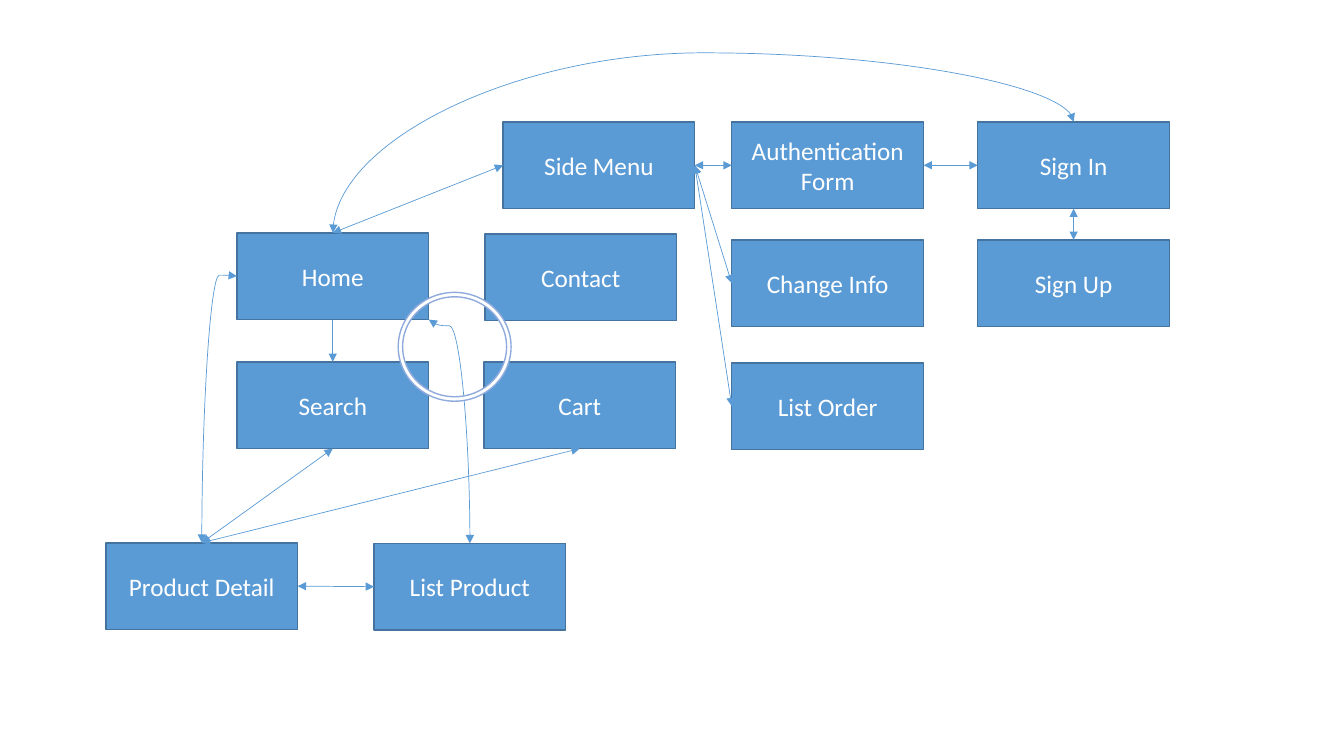
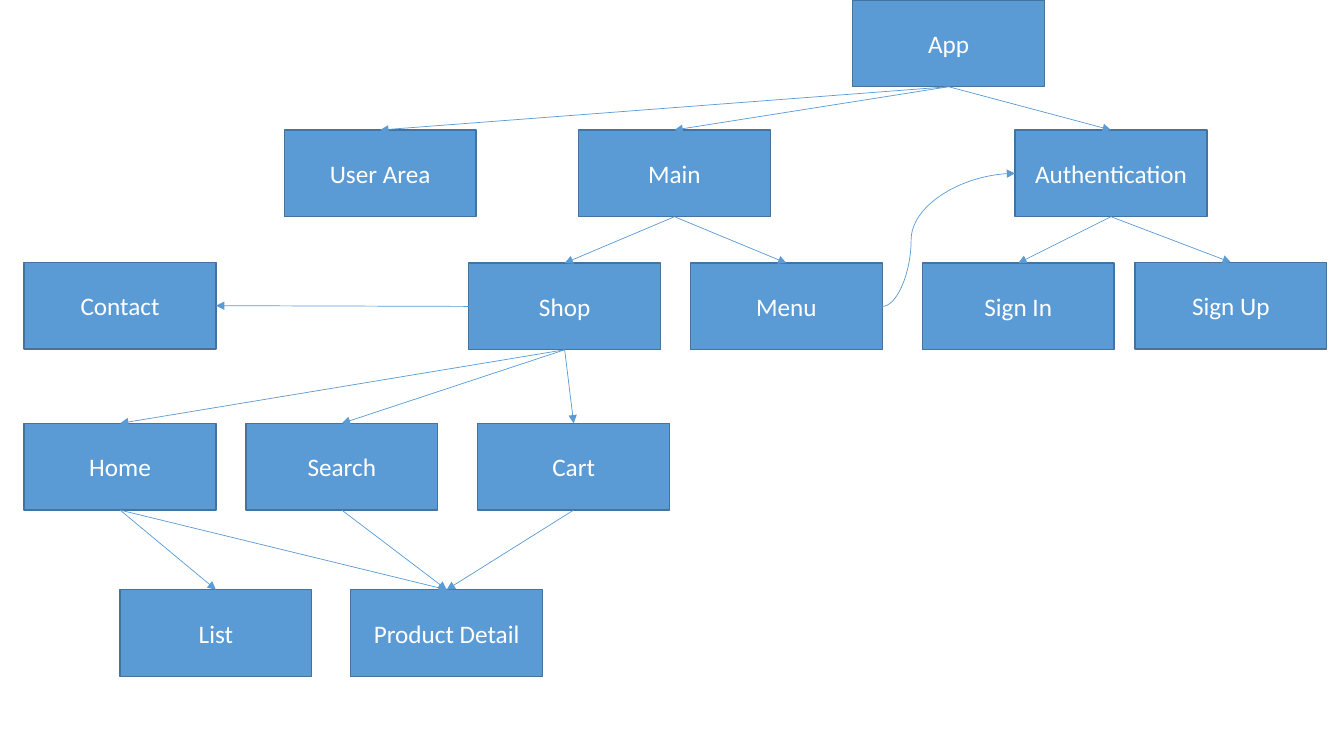
from lxml.etree import SubElement
from pptx import Presentation
from pptx.dml.color import RGBColor
from pptx.enum.shapes import MSO_CONNECTOR as Route, MSO_SHAPE as Preset
from pptx.enum.text import MSO_ANCHOR as Anchor, PP_ALIGN as Align
from pptx.oxml.ns import qn
from pptx.util import Inches, Pt

BLUE = RGBColor(0x5B, 0x9B, 0xD5)
EDGE = RGBColor(0x43, 0x73, 0x9E)
PALE = RGBColor(0x8F, 0xAA, 0xDC)
WHITE = RGBColor(0xFF, 0xFF, 0xFF)
FONT = "Calibri"
BOX_SIZE = (14.27, 11.47)
SITES = {
    "top": (0, 0.5, 0),
    "left": (1, 0, 0.5),
    "bottom": (2, 0.5, 1),
    "right": (3, 1, 0.5),
    "corner": (None, 1, 1),
}


class Diagram:
    """Draws boxes and links; places and sizes are percentages of the slide."""

    def __init__(self):
        self.deck = Presentation()
        self.deck.slide_width, self.deck.slide_height = Inches(13.33), Inches(7.5)

    def new_page(self):
        self.page = self.deck.slides.add_slide(self.deck.slide_layouts[6])
        self.boxes = {}

    def shape(self, preset, place, size, fill, edge):
        width, height = self.deck.slide_width, self.deck.slide_height
        share = [round(part * whole / 100) for part, whole
                 in zip(place + size, (width, height) * 2)]
        shape = self.page.shapes.add_shape(preset, *share)
        shape.shadow.inherit = False
        shape.fill.solid()
        shape.fill.fore_color.rgb = fill
        shape.line.color.rgb = edge
        shape.line.width = Pt(1)
        return shape

    def box(self, name, place):
        box = self.shape(Preset.RECTANGLE, place, BOX_SIZE, BLUE, EDGE)
        frame = box.text_frame
        frame.text = name
        frame.word_wrap = True
        frame.vertical_anchor = Anchor.MIDDLE
        for para in frame.paragraphs:
            para.alignment = Align.CENTER
            para.font.name, para.font.size = FONT, Pt(18)
            para.font.color.rgb = WHITE
        self.boxes[name] = box

    def ring(self, place, size, thickness):
        ring = self.shape(Preset.DONUT, place, size, WHITE, PALE)
        ring.adjustments[0] = thickness

    def site(self, name, side):
        box = self.boxes[name]
        _, across, down = SITES[side]
        return (round(box.left + across * box.width),
                round(box.top + down * box.height))

    def link(self, source, source_side, target, target_side, both=False, bend=None):
        start, end = self.site(source, source_side), self.site(target, target_side)
        route = Route.STRAIGHT if bend is None else Route.CURVE
        link = self.page.shapes.add_connector(route, *start, *end)
        if SITES[source_side][0] is not None:
            link.begin_connect(self.boxes[source], SITES[source_side][0])
        link.end_connect(self.boxes[target], SITES[target_side][0])
        link.line.color.rgb = BLUE
        link.line.width = Pt(0.5)
        line = link.line._get_or_add_ln()
        for tip in ("a:headEnd", "a:tailEnd") if both else ("a:tailEnd",):
            SubElement(line, qn(tip), type="triangle")
        SubElement(link.element.spPr, qn("a:effectLst"))
        if bend is not None:
            self.bend(link, bend)
            if target_side == "top":
                self.turn(link, start, end)

    def bend(self, link, amount):
        guides = link.element.spPr.find(qn("a:prstGeom")).get_or_add_avLst()
        SubElement(guides, qn("a:gd"), name="adj1", fmla=f"val {round(amount * 100000)}")

    def turn(self, link, start, end):
        across, down = end[0] - start[0], end[1] - start[1]
        link.width, link.height = abs(down), abs(across)
        link.left = (start[0] + end[0] - link.width) // 2
        link.top = (start[1] + end[1] - link.height) // 2
        frame = link.element.spPr.find(qn("a:xfrm"))
        opposite = across > 0 and down > 0
        frame.set("rot", str((270 if opposite else 90) * 60000))
        frame.set("flipH", str(int(opposite or down < 0)))
        frame.set("flipV", str(int(across > 0 > down)))


def screen_flow(diagram):
    diagram.new_page()
    places = {
        "List Order": (54.45, 48), "Search": (17.63, 47.87),
        "Home": (17.63, 30.8), "Side Menu": (37.43, 16.13),
        "Cart": (36, 47.87), "Change Info": (54.45, 31.73),
        "Authentication\nForm": (54.45, 16.13), "Contact": (36.08, 30.93),
        "List Product": (27.83, 71.87), "Product Detail": (7.88, 71.8),
        "Sign Up": (72.75, 31.73), "Sign In": (72.75, 16.13),
    }
    for name, place in places.items():
        diagram.box(name, place)
    diagram.link("Home", "bottom", "Search", "top")
    curves = [("Home", "left", "Product Detail", -0.004),
              ("Home", "corner", "List Product", 0.028),
              ("Home", "top", "Sign In", 1.623)]
    for source, side, target, bend in curves:
        diagram.link(source, side, target, "top", both=True, bend=bend)
    diagram.link("Sign In", "bottom", "Sign Up", "top", both=True)
    diagram.link("Authentication\nForm", "right", "Sign In", "left", both=True)
    for target in ("List Order", "Change Info", "Authentication\nForm"):
        diagram.link("Side Menu", "right", target, "left", both=True)
    diagram.link("Side Menu", "left", "Home", "top", both=True)
    diagram.ring((29.63, 38.67), (8.4, 14.4), 0.041)
    for source in ("Search", "Cart"):
        diagram.link(source, "bottom", "Product Detail", "top", both=True)
    diagram.link("List Product", "left", "Product Detail", "right", both=True)


def screen_tree(diagram):
    diagram.new_page()
    rows = {
        0: {"App": 63.45},
        17.2: {"User Area": 21.15, "Main": 43.05, "Authentication": 75.53},
        34.8: {"Shop": 34.88, "Menu": 51.38, "Sign In": 68.63},
        34.7: {"Contact": 1.8, "Sign Up": 84.45},
        56: {"Home": 1.8, "Search": 18.3, "Cart": 35.55},
        78: {"List": 8.93, "Product Detail": 26.1},
    }
    for top, row in rows.items():
        for name, left in row.items():
            diagram.box(name, (left, top))
    children = {
        "App": ("Authentication", "Main", "User Area"),
        "Main": ("Shop", "Menu"),
        "Authentication": ("Sign In", "Sign Up"),
        "Shop": ("Search", "Cart", "Home"),
        "Home": ("List", "Product Detail"),
        "Search": ("Product Detail",),
        "Cart": ("Product Detail",),
    }
    for parent, names in children.items():
        for name in names:
            diagram.link(parent, "bottom", name, "top")
    diagram.link("Shop", "left", "Contact", "right")
    diagram.link("Menu", "right", "Authentication", "left", bend=0.217)


diagram = Diagram()
screen_flow(diagram)
screen_tree(diagram)
diagram.deck.save("out.pptx")
